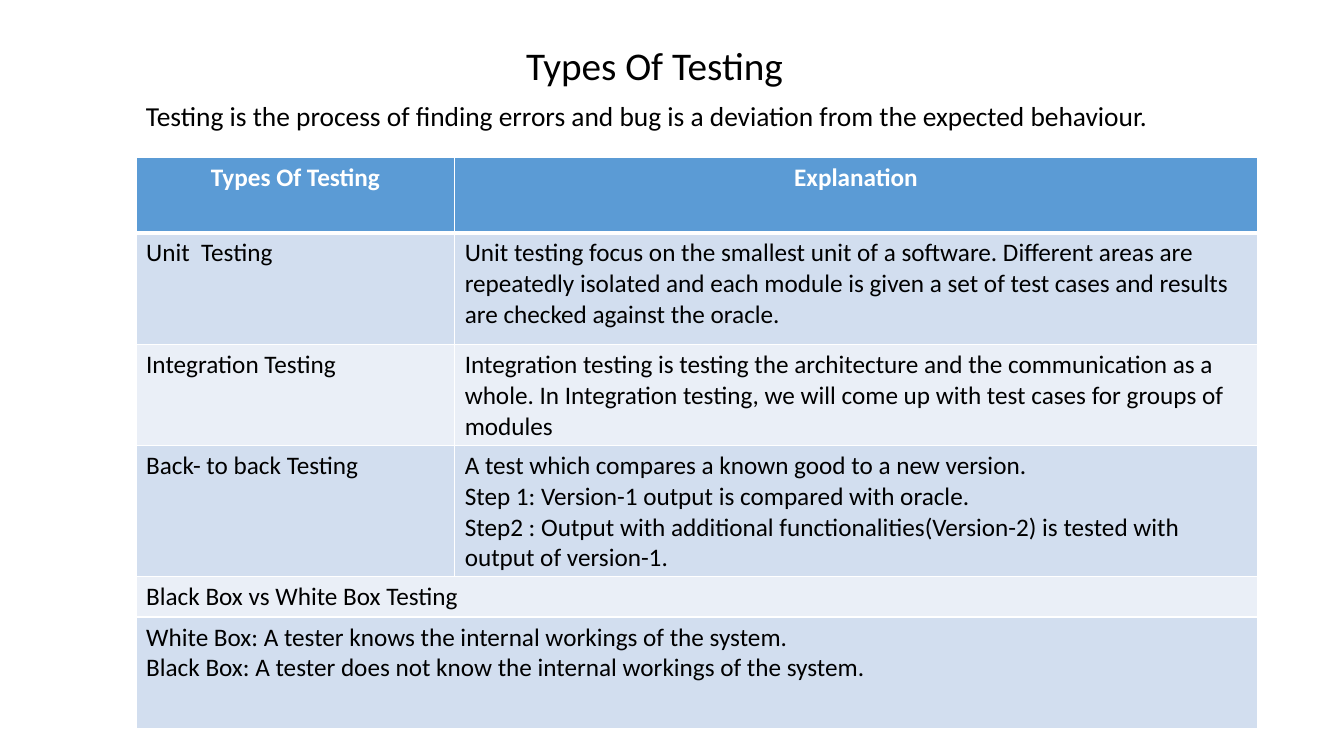
"""Build a slide that explains the types of software testing."""
from lxml.etree import SubElement
from pptx import Presentation
from pptx.dml.color import RGBColor
from pptx.enum.text import MSO_ANCHOR, PP_ALIGN
from pptx.oxml.ns import qn
from pptx.util import Inches, Pt

COLORS = {"text": "000000", "white": "FFFFFF", "head": "5B9BD5",
          "dark": "D2DEEF", "light": "EAEFF7"}
WIDTHS = [3.16, 7.96]
HEIGHTS = [0.75, 1.11, 0.95, 1.24, 0.38, 1.11]
ROWS = [
    [["Types Of Testing"], ["Explanation"]],
    [["Unit  Testing"],
     ["Unit testing focus on the smallest unit of a software. Different areas are "
      "repeatedly isolated and each module is given a set of test cases and results "
      "are checked against the oracle."]],
    [["Integration Testing"],
     ["Integration testing is testing the architecture and the communication as a "
      "whole. In Integration testing, we will come up with test cases for groups of "
      "modules"]],
    [["Back- to back Testing"],
     ["A test which compares a known good to a new version.",
      "Step 1: Version-1 output is compared with oracle.",
      "Step2 : Output with additional functionalities(Version-2) is tested with "
      "output of version-1."]],
    [["Black Box vs White Box Testing"]],
    [["White Box: A tester knows the internal workings of the system.",
      "Black Box: A tester does not know the internal workings of the system."]],
]


class Deck:
    font = "Calibri"

    def __init__(self):
        self.file = Presentation()
        self.file.slide_width = Inches(13.33)
        self.file.slide_height = Inches(7.5)
        self.slide = self.file.slides.add_slide(self.file.slide_layouts[6])

    def put(self, frame, lines, size, color="text", bold=False, align=PP_ALIGN.LEFT):
        frame.word_wrap = True
        for i, line in enumerate(lines):
            para = frame.add_paragraph() if i else frame.paragraphs[0]
            para.alignment = align
            run = para.add_run()
            run.text = line
            run.font.name = self.font
            run.font.size = Pt(size)
            run.font.bold = bold
            run.font.color.rgb = RGBColor.from_string(COLORS[color])
        return frame.paragraphs[0]

    def text(self, box, line, size, space, before=0, anchor=MSO_ANCHOR.TOP,
             align=PP_ALIGN.LEFT):
        frame = self.slide.shapes.add_textbox(*map(Inches, box)).text_frame
        para = self.put(frame, [line], size, align=align)
        frame.vertical_anchor = anchor
        para.line_spacing = space
        para.space_before = Pt(before)

    def border(self, cell, head):
        props = cell._tc.get_or_add_tcPr()
        for i, side in enumerate(["lnL", "lnR", "lnT", "lnB"]):
            width = Pt(3 if head and side == "lnB" else 1)
            line = props.makeelement(qn(f"a:{side}"), {"w": str(width)})
            fill = SubElement(line, qn("a:solidFill"))
            SubElement(fill, qn("a:srgbClr"), val=COLORS["white"])
            props.insert(i, line)

    def table(self, left, top, rows, widths, heights):
        grid = self.slide.shapes.add_table(
            len(rows), len(widths), Inches(left), Inches(top),
            Inches(sum(widths)), Inches(sum(heights))).table
        for col, width in zip(grid.columns, widths):
            col.width = Inches(width)
        for r, (row, height) in enumerate(zip(rows, heights)):
            grid.rows[r].height = Inches(height)
            head = r == 0
            shade = "head" if head else "dark" if r % 2 else "light"
            for cell in grid.rows[r].cells:
                cell.fill.solid()
                cell.fill.fore_color.rgb = RGBColor.from_string(COLORS[shade])
                self.border(cell, head)
            if len(row) < len(widths):
                grid.cell(r, 0).merge(grid.cell(r, len(widths) - 1))
            for c, lines in enumerate(row):
                self.put(grid.cell(r, c).text_frame, lines, 18,
                         "white" if head else "text", head,
                         PP_ALIGN.CENTER if head else PP_ALIGN.LEFT)


def main():
    deck = Deck()
    deck.text((0.92, 0.4, 11.23, 0.54), "Types Of Testing ", 28, 0.9,
              anchor=MSO_ANCHOR.MIDDLE, align=PP_ALIGN.CENTER)
    deck.text((1.35, 1.02, 11.04, 0.54),
              "Testing is the process of finding errors and bug is a deviation "
              "from the expected behaviour.", 19.6, 0.7, before=10)
    deck.table(1.35, 1.56, ROWS, WIDTHS, HEIGHTS)
    deck.file.save("out.pptx")


if __name__ == "__main__":
    main()
